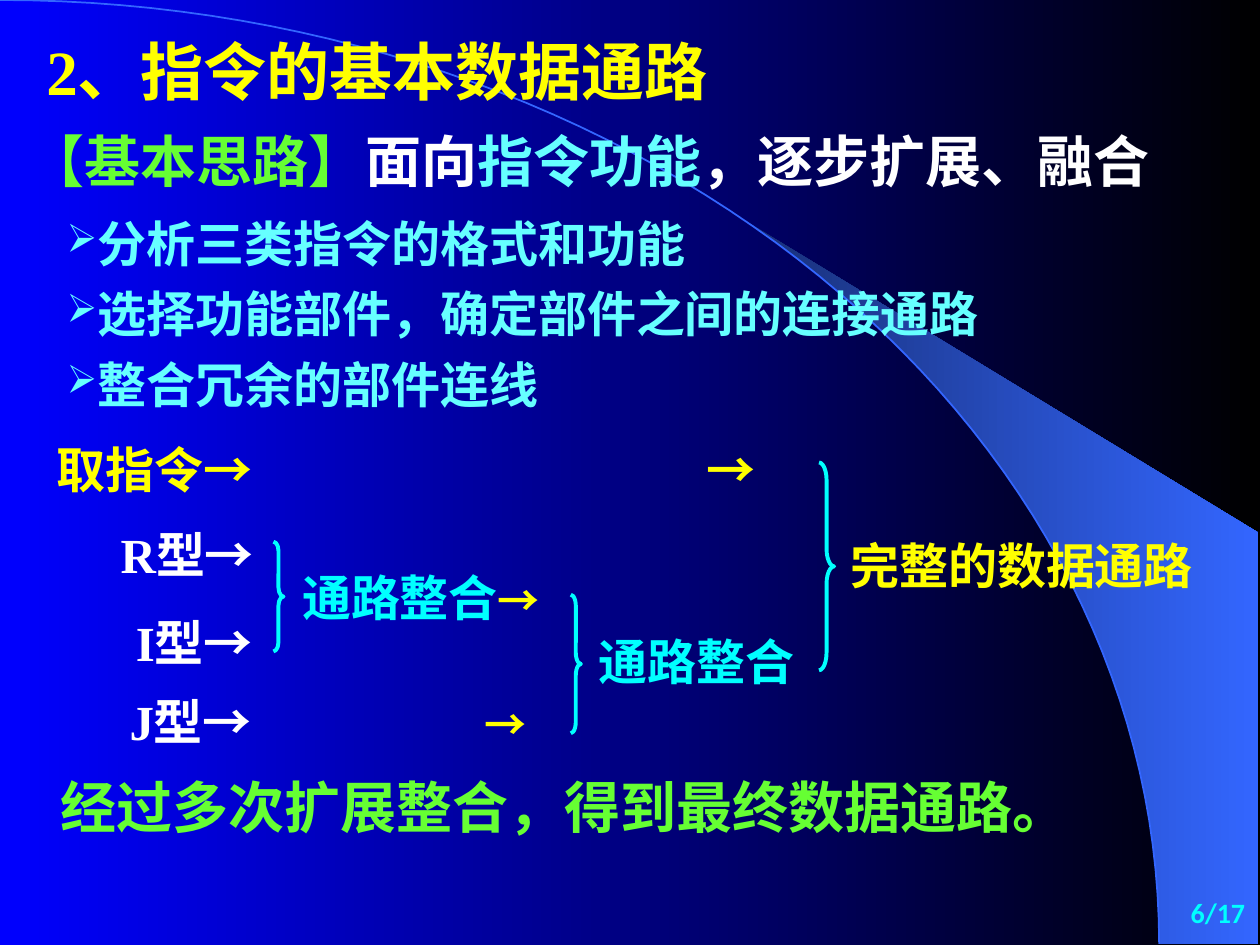
from dataclasses import dataclass
from math import asin, cos, pi, sin

from lxml.etree import SubElement
from pptx import Presentation
from pptx.dml.color import RGBColor
from pptx.enum.shapes import MSO_SHAPE
from pptx.enum.text import MSO_ANCHOR, PP_ALIGN
from pptx.oxml.ns import qn
from pptx.util import Inches, Pt


@dataclass(frozen=True)
class Theme:
    blue: str = "0000FF"
    black: str = "000000"
    deep: str = "182F76"
    azure: str = "3366FF"
    yellow: str = "FFFF00"
    green: str = "66FF33"
    white: str = "FFFFFF"
    sky: str = "66FFFF"
    cyan: str = "00FFFF"
    latin: str = "Times New Roman"
    asian: str = "Noto Sans CJK SC"
    footer: str = "Calibri"
    title: int = 36
    lead: int = 32
    body: int = 28
    arrow: int = 24
    number: int = 16


@dataclass(frozen=True)
class Box:
    left: float
    top: float
    width: float
    height: float

    def area(self, left, top, width, height):
        return Box(self.left + left, self.top + top, width, height)

    def place(self):
        return [Inches(length) for length in (self.left, self.top, self.width, self.height)]


THEME = Theme()
COLUMNS, ROWS = 10, 7.5


def color(value):
    return RGBColor.from_string(value)


def paint_gradient(fill, *colors):
    fill.gradient()
    fill.gradient_angle = 0
    for stop, value in zip(fill.gradient_stops, colors):
        stop.color.rgb = color(value)


def add_bullet(para):
    properties = para._p.get_or_add_pPr()
    properties.set("marL", str(Inches(0.56)))
    properties.set("indent", str(Inches(-0.17)))
    tint = SubElement(properties, qn("a:buClr"))
    SubElement(tint, qn("a:srgbClr"), val=THEME.sky)
    SubElement(properties, qn("a:buSzPct"), val="80000")
    SubElement(properties, qn("a:buChar"), char="➢")


def add_tab(para, column):
    stops = SubElement(para._p.get_or_add_pPr(), qn("a:tabLst"))
    SubElement(stops, qn("a:tab"), pos=str(Inches(column)), algn="l")


def add_text(page, box, lines, size, tint, face=THEME.latin, spacing=None,
             anchor=MSO_ANCHOR.MIDDLE, align=None, bullet=False, tab=None):
    frame = page.shapes.add_textbox(*box.place()).text_frame
    frame.word_wrap = True
    frame.vertical_anchor = anchor
    for index, spans in enumerate(lines):
        para = frame.paragraphs[0] if index == 0 else frame.add_paragraph()
        if spacing:
            para.line_spacing = spacing
        if align:
            para.alignment = align
        if bullet:
            add_bullet(para)
        if tab:
            add_tab(para, tab)
        font = para.font
        font.name, font.size, font.bold = face, Pt(size), True
        font.color.rgb = color(tint)
        SubElement(para._p.pPr.find(qn("a:defRPr")), qn("a:ea"), typeface=THEME.asian)
        for text, span_tint, span_size in spans:
            span = para.add_run()
            span.text = text
            if span_tint:
                span.font.color.rgb = color(span_tint)
            if span_size:
                span.font.size = Pt(span_size)


def plain(text):
    return [(text, None, None)]


def arc_points(box, start, steps=60):
    angles = (start + (pi / 2 - start) * step / steps for step in range(steps + 1))
    return [(Inches(box.left + box.width * sin(angle)),
             Inches(box.top + box.height * (1 - cos(angle)))) for angle in angles]


def add_outline(page, points, close):
    builder = page.shapes.build_freeform(*points[0])
    builder.add_line_segments(points[1:], close=close)
    outline = builder.convert_to_shape()
    outline.shadow.inherit = False
    return outline


def draw_backdrop(page, box):
    paint_gradient(page.background.fill, THEME.blue, THEME.black)
    arc = box.area(0, 0, 9.2, 7.49)
    edge = [(Inches(9.99), Inches(row)) for row in (7.49, 4.23)]
    beam = add_outline(page, arc_points(arc, asin(5.89 / arc.width)) + edge, True)
    paint_gradient(beam.fill, THEME.deep, THEME.azure)
    beam.line.fill.background()
    rim = add_outline(page, arc_points(arc, 0), False)
    rim.fill.background()
    rim.line.color.rgb = color(THEME.azure)
    rim.line.width = Pt(1)


def draw_heading(page, box):
    add_text(page, box.area(0.14, 0, 6.13, 0.85), [plain("2、指令的基本数据通路")],
             THEME.title, THEME.yellow, spacing=1.25, anchor=MSO_ANCHOR.TOP)
    lead = [("【基本思路】", THEME.green, None), ("面向", None, None),
            ("指令功能", THEME.sky, None), ("，逐步扩展、融合", None, None)]
    add_text(page, box.area(0, 0.76, 9.21, 0.77), [lead], THEME.lead, THEME.white,
             face=THEME.asian, spacing=1.25, anchor=MSO_ANCHOR.TOP)


def draw_steps(page, box):
    steps = ("分析三类指令的格式和功能", "选择功能部件，确定部件之间的连接通路", "整合冗余的部件连线")
    add_text(page, box, [plain(step) for step in steps], THEME.body, THEME.sky,
             spacing=1.2, anchor=MSO_ANCHOR.TOP, bullet=True)


def draw_brace(page, box, curve):
    brace = page.shapes.add_shape(MSO_SHAPE.RIGHT_BRACE, *box.place())
    brace.shadow.inherit = False
    brace.adjustments[0] = curve
    brace.fill.background()
    brace.line.color.rgb = color(THEME.cyan)
    brace.line.width = Pt(2.25)


def draw_flow(page, box):
    arrow = ("→", THEME.yellow, THEME.arrow)
    tabbed_arrow = ("\t→", THEME.yellow, THEME.arrow)
    merged = ("通路整合", None, None)
    labels = [
        (0.51, 0.91, 1.5, 0.57, plain("R型→"), THEME.white, None),
        (0.63, 1.61, 1.5, 0.57, plain("I型→"), THEME.white, None),
        (0.58, 2.24, 3.6, 0.57, plain("J型→") + [tabbed_arrow], THEME.white, 2.82),
        (1.95, 1.25, 2.36, 0.57, [merged, arrow], THEME.cyan, None),
        (0, 0, 6.22, 1.04, plain("取指令→\t→"), THEME.yellow, 5.16),
        (4.3, 1.76, 2.21, 0.57, [merged], THEME.cyan, None),
        (6.3, 1, 3.15, 0.57, plain("完整的数据通路"), THEME.yellow, None),
    ]
    for *extent, spans, tint, tab in labels:
        add_text(page, box.area(*extent), [spans], THEME.body, tint, tab=tab)
    braces = [(1.82, 1.1, 0.08, 0.87, 0.9), (4.18, 1.52, 0.08, 1.1, 1.12),
              (6.15, 0.47, 0.12, 1.65, 1.17)]
    for *extent, curve in braces:
        draw_brace(page, box.area(*extent), curve)


def draw_closing(page, box):
    add_text(page, box.area(0, 0, 9.11, 0.64), [plain("经过多次扩展整合，得到最终数据通路。")],
             THEME.lead, THEME.green)
    add_text(page, box.area(7.52, 0.98, 2.08, 0.42), [plain("6/17")], THEME.number,
             THEME.cyan, face=THEME.footer, anchor=MSO_ANCHOR.TOP, align=PP_ALIGN.RIGHT)


def main():
    deck = Presentation()
    deck.slide_width, deck.slide_height = Inches(COLUMNS), Inches(ROWS)
    page = deck.slides.add_slide(deck.slide_layouts[6])
    draw_backdrop(page, Box(0, 0, COLUMNS, ROWS))
    draw_heading(page, Box(0.13, 0.06, 9.21, 1.53))
    draw_steps(page, Box(0.04, 1.55, 9.69, 1.78))
    draw_flow(page, Box(0.35, 3.2, 9.45, 2.81))
    draw_closing(page, Box(0.38, 6.08, 9.6, 1.4))
    deck.save("out.pptx")


if __name__ == "__main__":
    main()
